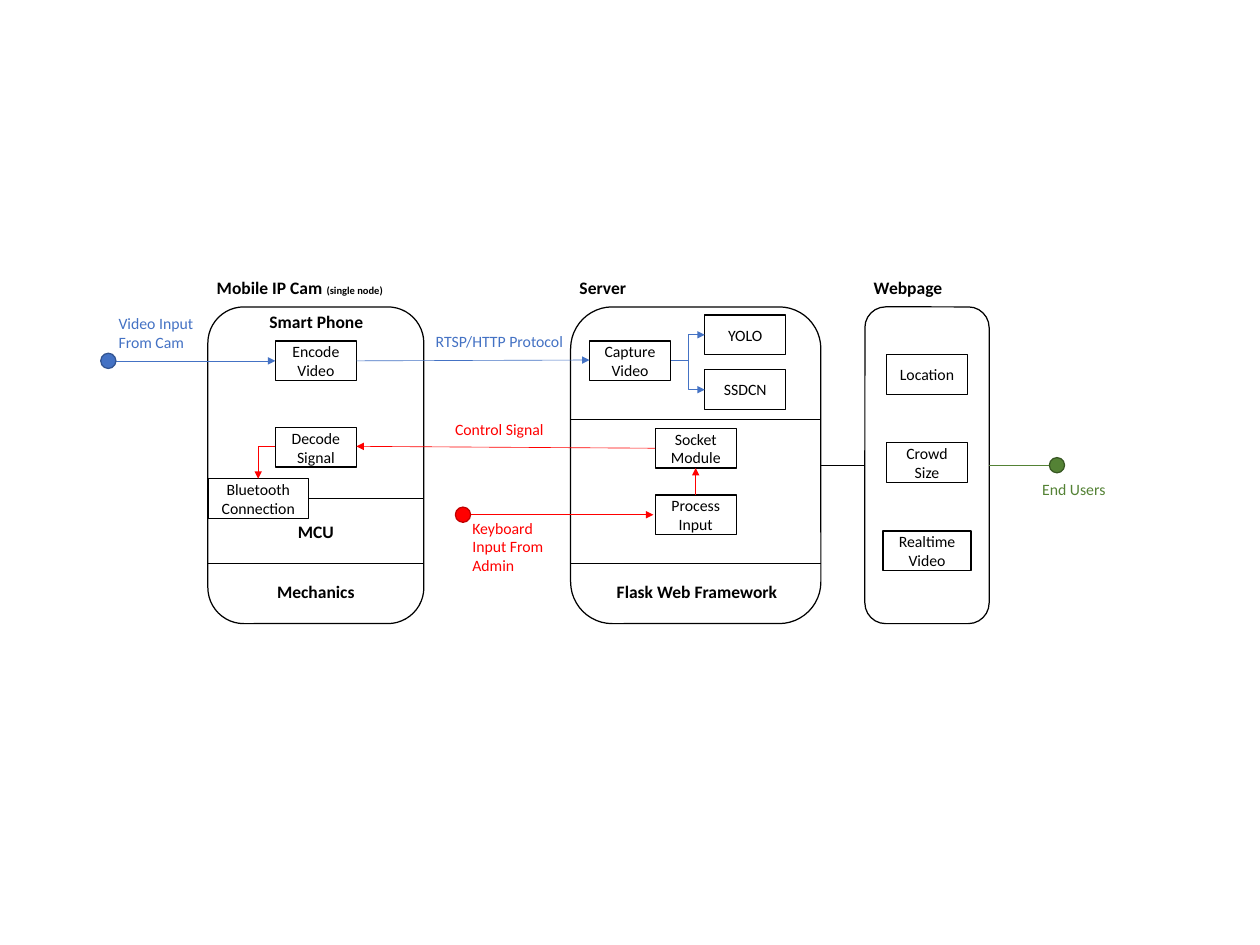
from dataclasses import dataclass

from lxml import etree
from pptx import Presentation
from pptx.dml.color import RGBColor
from pptx.enum import shapes, text
from pptx.oxml import ns
from pptx.util import Pt


@dataclass(frozen=True)
class Theme:
    """Colours, font and sizes shared by the whole diagram."""
    font: str = "Calibri"
    body: float = 12.6
    title: float = 14
    note: float = 8.4
    black: str = "000000"
    white: str = "FFFFFF"
    blue: str = "4472C4"
    blue_edge: str = "325491"
    red: str = "FF0000"
    red_edge: str = "C00000"
    green: str = "548235"
    green_edge: str = "385723"
    outline: float = 1
    link: float = 0.75
    flow: float = 0.5
    node_width: float = 64.8
    node_height: float = 31.7
    dot: float = 12.2


@dataclass(frozen=True)
class Box:
    """A rectangle in points."""
    left: float
    top: float
    width: float
    height: float

    def inside(self, left, top, width, height):
        """Return a box placed relative to this one."""
        return Box(self.left + left, self.top + top, width, height)

    def lengths(self):
        """Return left, top, width and height as slide lengths."""
        return [Pt(value) for value in (self.left, self.top, self.width, self.height)]


THEME = Theme()
KINDS = shapes.MSO_SHAPE
CENTER, LEFT = text.PP_ALIGN.CENTER, text.PP_ALIGN.LEFT


def colour(value):
    """Turn a hex string into a colour."""
    return RGBColor.from_string(value)


def write(shape, words, size=THEME.body, color=THEME.black, bold=False, align=CENTER, note=""):
    """Fill a shape with paragraphs, plus an optional smaller closing note."""
    frame = shape.text_frame
    frame.word_wrap = True
    for index, line in enumerate(words.split("\n")):
        para = frame.add_paragraph() if index else frame.paragraphs[0]
        para.alignment = align
        for part, points in ((line, size), (note, THEME.note)):
            if part:
                span = para.add_run()
                span.text = part
                span.font.name, span.font.size, span.font.bold = THEME.font, Pt(points), bold
                span.font.color.rgb = colour(color)


def add_outline(page, kind, box, fill=THEME.white, edge=THEME.black):
    """Draw a filled, outlined preset shape."""
    shape = page.shapes.add_shape(kind, *box.lengths())
    shape.shadow.inherit = False
    shape.fill.solid()
    shape.fill.fore_color.rgb = colour(fill)
    shape.line.color.rgb = colour(edge)
    shape.line.width = Pt(THEME.outline)
    return shape


def add_label(page, box, words, **style):
    """Place a free text box."""
    shape = page.shapes.add_textbox(*box.lengths())
    write(shape, words, **style)
    shape.text_frame.auto_size = text.MSO_AUTO_SIZE.SHAPE_TO_FIT_TEXT


def add_title(page, box, words, **style):
    """Place a bold title."""
    add_label(page, box, words, size=THEME.title, bold=True, **style)


def add_node(page, panel, left, top, words, width=THEME.node_width):
    """Place a process box inside a panel."""
    shape = add_outline(page, KINDS.RECTANGLE, panel.inside(left, top, width, THEME.node_height))
    frame = shape.text_frame
    frame.margin_left = frame.margin_right = Pt(10)
    frame.margin_top = frame.margin_bottom = Pt(5)
    frame.vertical_anchor = text.MSO_ANCHOR.MIDDLE
    write(shape, words)


def add_line(page, box, start, end, color=THEME.black, width=THEME.outline, arrow=False, bend=None):
    """Connect two points of a box, straight or with a bent preset."""
    kind = shapes.MSO_CONNECTOR.ELBOW if bend else shapes.MSO_CONNECTOR.STRAIGHT
    ends = [Pt(base + value) for point in (start, end)
            for base, value in zip((box.left, box.top), point)]
    line = page.shapes.add_connector(kind, *ends)
    line.line.color.rgb = colour(color)
    line.line.width = Pt(width)
    properties = line._element.spPr
    if bend:
        properties.find(ns.qn("a:prstGeom")).set("prst", bend)
    if arrow:
        etree.SubElement(line.line._get_or_add_ln(), ns.qn("a:tailEnd"), type="triangle")
    etree.SubElement(properties, ns.qn("a:effectLst"))


def add_flow(page, box, start, end, color, bend=None):
    """Draw a thin signal arrow."""
    add_line(page, box, start, end, color, THEME.flow, arrow=True, bend=bend)


def add_dot(page, box, x, y, fill, edge):
    """Draw a terminal dot around a centre point."""
    size = THEME.dot
    add_outline(page, KINDS.OVAL, box.inside(x - size / 2, y - size / 2, size, size), fill, edge)


def add_panel(page, box, heading, note=""):
    """Draw a rounded panel with a heading above it."""
    add_outline(page, KINDS.ROUNDED_RECTANGLE, box)
    add_title(page, box.inside(0, -27.4, 187, 24.5), heading, align=LEFT, note=note)


def add_phone(page, box):
    """Build the mobile camera panel."""
    add_panel(page, box, "Mobile IP Cam ", note="(single node)")
    add_title(page, box.inside(35.3, 0, 103, 24.5), "Smart Phone")
    add_node(page, box, 54, 27.4, "Encode Video")
    add_node(page, box, 54, 96.5, "Decode Signal")
    add_node(page, box, 0, 137.5, "Bluetooth Connection", width=80.6)
    add_flow(page, box, (54, 111.6), (40.3, 137.5), THEME.red, bend="bentConnector2")
    for left, top in ((80.6, 153.4), (0, 205.2)):
        add_line(page, box, (left, top), (box.width, top))
    for top, words in ((167.8, "MCU"), (216, "Mechanics")):
        add_title(page, box.inside(0, top, box.width, 24.5), words)


def add_server(page, box):
    """Build the server panel."""
    add_panel(page, box, "Server")
    for top in (90, 205.2):
        add_line(page, box, (0, top), (box.width, top))
    add_node(page, box, 15.1, 27.4, "Capture Video")
    for top, words in ((6.5, "YOLO"), (50.4, "SSDCN")):
        add_node(page, box, 107.3, top, words)
        add_flow(page, box, (80.6, 42.5), (107.3, top + THEME.node_height / 2),
                 THEME.blue, bend="bentConnector3")
    add_node(page, box, 67.7, 97.2, "Socket\nModule")
    add_node(page, box, 67.7, 150.5, "Process Input")
    add_flow(page, box, (100.1, 150.5), (100.1, 128.9), THEME.red)
    add_title(page, box.inside(1, 216, box.width, 24.5), "Flask Web Framework")


def add_webpage(page, box):
    """Build the webpage panel with evenly spaced boxes."""
    add_panel(page, box, "Webpage")
    nodes = (("Location", THEME.node_width), ("Crowd Size", THEME.node_width), ("Realtime\nVideo", 70.6))
    for index, (words, width) in enumerate(nodes):
        add_node(page, box, (box.width - width) / 2, 38.2 + index * 70.6, words, width=width)


def add_flows(page, box):
    """Draw the signals, users and labels between the panels."""
    add_flow(page, box, (6.5, 43.2), (139.7, 43.2), THEME.blue)
    add_flow(page, box, (204.5, 43.2), (391, 42.5), THEME.blue)
    add_flow(page, box, (443.5, 113.1), (204.5, 111.6), THEME.red)
    add_flow(page, box, (290.2, 166.3), (442.1, 166.3), THEME.red)
    add_line(page, box, (576, 126.7), (611.3, 126.7), width=THEME.link)
    add_line(page, box, (710.7, 126.7), (759, 126.7), THEME.green, THEME.link)
    add_dot(page, box, 6.1, 43.2, THEME.blue, THEME.blue_edge)
    add_dot(page, box, 289.8, 166.3, THEME.red, THEME.red_edge)
    add_dot(page, box, 765, 126.7, THEME.green, THEME.green_edge)
    labels = (
        ((7.2, 2.2, 88.6, 38.2), "Video Input From Cam", THEME.blue, LEFT),
        ((260, 16.6, 117.6, 22.3), "RTSP/HTTP Protocol", THEME.blue, CENTER),
        ((260, 87.1, 117.6, 22.3), "Control Signal", THEME.red, CENTER),
        ((290.2, 165.6, 86.4, 53.3), "Keyboard Input From Admin", THEME.red, LEFT),
        ((746, 134.6, 117.6, 22.3), "End Users", THEME.green, LEFT),
    )
    for place, words, color, align in labels:
        add_label(page, box.inside(*place), words, color=color, align=align)


def main():
    """Build and save the deck."""
    deck = Presentation()
    deck.slide_width, deck.slide_height = Pt(1008), Pt(756)
    page = deck.slides.add_slide(deck.slide_layouts[6])
    diagram = Box(80.6, 245.5, 863, 253.4)
    panels = ((add_phone, 85.7, 172.8), (add_server, 375.9, 200.2), (add_webpage, 611.3, 99.4))
    for build, left, width in panels:
        build(page, diagram.inside(left, 0, width, diagram.height))
    add_flows(page, diagram)
    deck.save("out.pptx")


if __name__ == "__main__":
    main()
